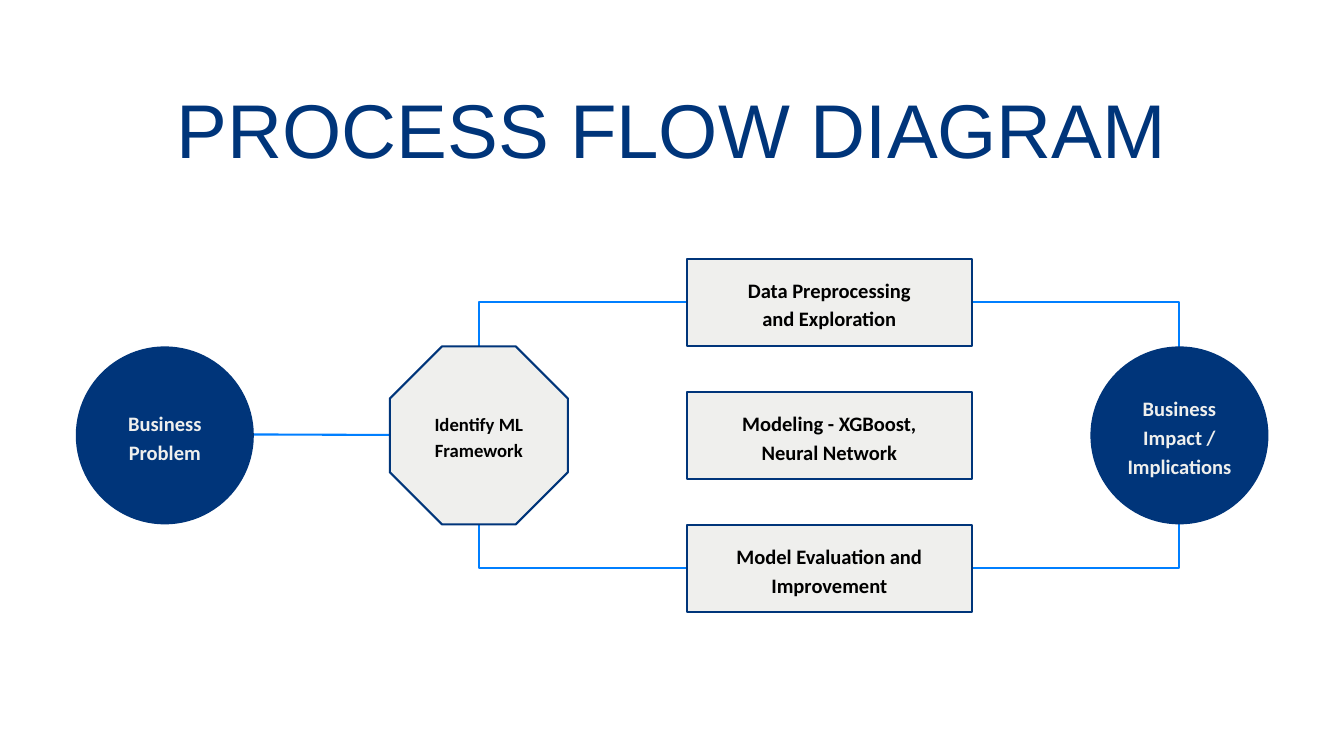
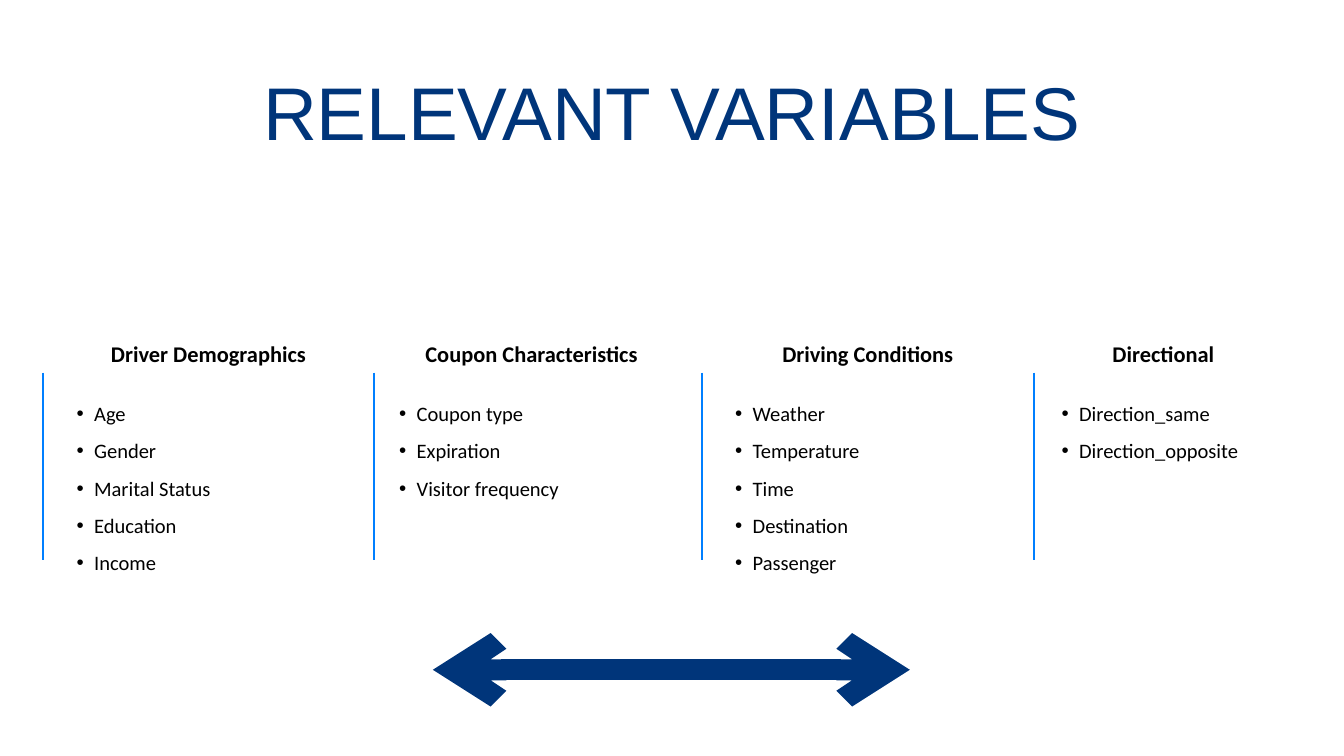
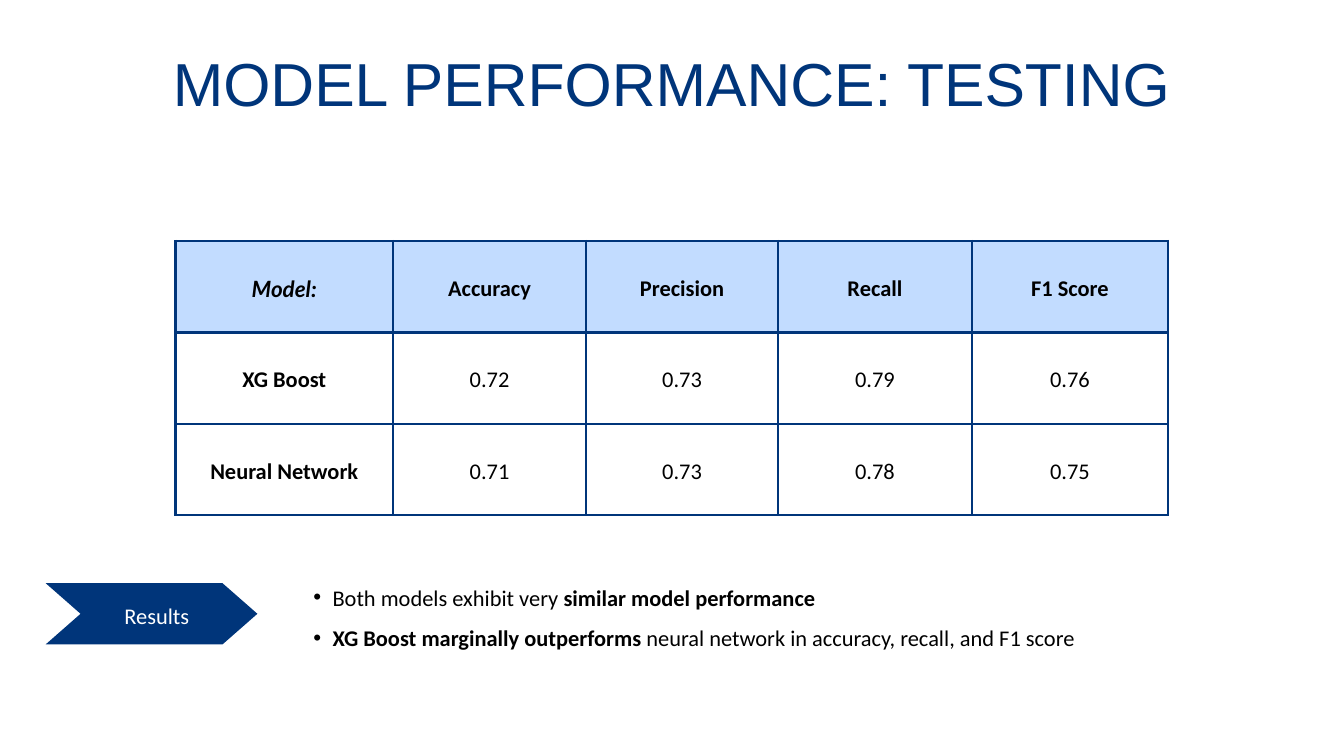
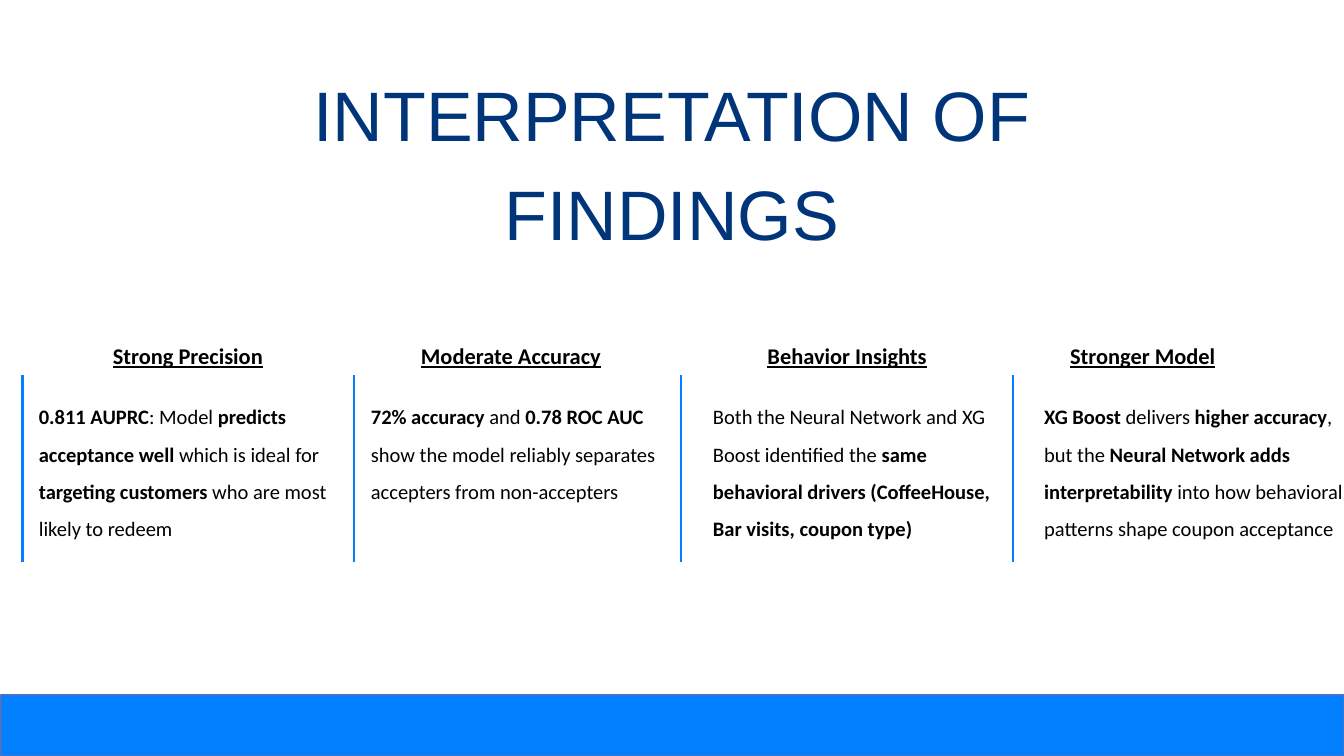
from dataclasses import dataclass

from lxml.etree import SubElement
from pptx import Presentation
from pptx.dml.color import RGBColor
from pptx.enum.shapes import MSO_CONNECTOR, MSO_SHAPE
from pptx.enum.text import MSO_ANCHOR, MSO_AUTO_SIZE, PP_ALIGN
from pptx.oxml.ns import qn
from pptx.util import Cm, Pt

SLIDE_WIDTH, SLIDE_HEIGHT = 50.8, 28.58
TITLE_ONLY = 5


@dataclass(frozen=True)
class Theme:
    navy: str = "00357A"
    blue: str = "007FFF"
    pale_blue: str = "C2DCFF"
    grey: str = "EFEFED"
    bar_outline: str = "4472C4"
    black: str = "000000"
    white: str = "FFFFFF"
    title_font: str = "Arial"
    text_font: str = "Calibri"
    accent_font: str = "Lato"
    heading_size: float = 24
    body_size: float = 22
    small_size: float = 20
    line_width: float = 2.25
    border_width: float = 3
    title_leading: float = 1.41
    tight_leading: float = 1.4
    loose_leading: float = 1.82


@dataclass(frozen=True)
class Column:
    """Horizontal places of one ruled column, in centimetres."""
    rule: float
    heading: float
    heading_width: float


COLUMNS = (
    Column(1.63, 3.38, 9),
    Column(14.15, 14.78, 10.62),
    Column(26.52, 28.3, 9),
    Column(39.07, 39.47, 9),
)


def lengths(*values):
    return [Cm(value) for value in values]


def color(value):
    return RGBColor.from_string(value)


class Deck:
    def __init__(self, theme):
        self.theme = theme
        self.presentation = Presentation()
        self.presentation.slide_width = Cm(SLIDE_WIDTH)
        self.presentation.slide_height = Cm(SLIDE_HEIGHT)
        self.slide = None

    def fill_text(self, text_frame, text, size, leading, ink=None, font=None,
                  bold=False, underline=False, align=PP_ALIGN.CENTER):
        """Fill a frame; newlines part paragraphs and ** marks bold words."""
        text_frame.word_wrap = True
        text_frame.text = text
        for paragraph in text_frame.paragraphs:
            first, *others = paragraph.text.split("**")
            paragraph.text = first
            for run in paragraph.runs:
                run.font.bold = bold
            for index, piece in enumerate(others):
                if piece:
                    run = paragraph.add_run()
                    run.text = piece
                    run.font.bold = index % 2 == 0
            paragraph.alignment = align
            paragraph.line_spacing = Pt(round(size * leading, 1))
            for run in paragraph.runs:
                run.font.size = Pt(size)
                run.font.name = font or self.theme.text_font
                run.font.color.rgb = color(ink or self.theme.black)
                if underline:
                    run.font.underline = True

    def set_margins(self, text_frame, left=0, bottom=0):
        text_frame.margin_left, text_frame.margin_bottom = lengths(left, bottom)
        text_frame.margin_top = text_frame.margin_right = 0

    def add_slide(self, title, size, top, width, height):
        layout = self.presentation.slide_layouts[TITLE_ONLY]
        self.slide = self.presentation.slides.add_slide(layout)
        shape = self.slide.shapes.title
        shape.left, shape.top, shape.width, shape.height = lengths(
            (SLIDE_WIDTH - width) / 2, top, width, height)
        text_frame = shape.text_frame
        self.set_margins(text_frame)
        text_frame.vertical_anchor = MSO_ANCHOR.TOP
        text_frame.auto_size = MSO_AUTO_SIZE.SHAPE_TO_FIT_TEXT
        self.fill_text(text_frame, title, size, self.theme.title_leading,
                       self.theme.navy, self.theme.title_font)

    def add_text(self, text, left, top, width, height, size, **style):
        shape = self.slide.shapes.add_textbox(*lengths(left, top, width, height))
        self.set_margins(shape.text_frame)
        shape.text_frame.auto_size = MSO_AUTO_SIZE.SHAPE_TO_FIT_TEXT
        self.fill_text(shape.text_frame, text, size, self.theme.loose_leading,
                       **style)
        return shape

    def add_bullets(self, text, left, top, width, height, size, indent):
        shape = self.add_text(text, left, top, width, height, size,
                              align=PP_ALIGN.LEFT)
        for paragraph in shape.text_frame.paragraphs:
            paragraph.level = 1
            properties = paragraph._p.get_or_add_pPr()
            properties.set("marL", str(Cm(2 * indent)))
            properties.set("indent", str(Cm(-indent)))
            SubElement(properties, qn("a:buFont"), typeface="Arial")
            SubElement(properties, qn("a:buChar"), char="•")

    def add_shape(self, kind, left, top, width, height, fill=None,
                  outline=None, line_width=None):
        shape = self.slide.shapes.add_shape(kind, *lengths(left, top, width, height))
        shape.shadow.inherit = False
        if fill:
            shape.fill.solid()
            shape.fill.fore_color.rgb = color(fill)
        else:
            shape.fill.background()
        if outline:
            shape.line.color.rgb = color(outline)
            shape.line.width = Pt(line_width or self.theme.line_width)
        else:
            shape.line.fill.background()
        return shape

    def add_label(self, shape, text, size, leading=None, left=0, bottom=0, **style):
        self.set_margins(shape.text_frame, left, bottom)
        shape.text_frame.vertical_anchor = MSO_ANCHOR.MIDDLE
        self.fill_text(shape.text_frame, text, size,
                       leading or self.theme.tight_leading, **style)

    def add_line(self, start_x, start_y, end_x, end_y, ink=None, width=None,
                 arrows=False):
        connector = self.slide.shapes.add_connector(
            MSO_CONNECTOR.STRAIGHT, *lengths(start_x, start_y, end_x, end_y))
        connector.line.color.rgb = color(ink or self.theme.blue)
        connector.line.width = Pt(width or self.theme.line_width)
        if arrows:
            line = connector.line._get_or_add_ln()
            for end in ("a:headEnd", "a:tailEnd"):
                SubElement(line, qn(end), type="arrow")
        SubElement(connector._element.spPr, qn("a:effectLst"))

    def add_column_heads(self, headings, shift, top, underline=False):
        """Draw the heading and the rule of each column."""
        for column, heading in zip(COLUMNS, headings):
            self.add_text(heading, column.heading + shift, top,
                          column.heading_width, 1.4, self.theme.heading_size,
                          bold=True, underline=underline)
            rule = column.rule + shift
            self.add_line(rule, top + 1.75, rule, top + 8.84)

    def add_borders(self, cell):
        properties = cell._tc.get_or_add_tcPr()
        for side in ("a:lnL", "a:lnR", "a:lnT", "a:lnB"):
            line = SubElement(properties, qn(side),
                              w=str(Pt(self.theme.border_width)))
            fill = SubElement(line, qn("a:solidFill"))
            SubElement(fill, qn("a:srgbClr"), val=self.theme.navy)

    def add_table(self, rows, left, top, widths, row_height):
        table = self.slide.shapes.add_table(
            len(rows), len(widths),
            *lengths(left, top, sum(widths), row_height * len(rows))).table
        table.first_row = table.horz_banding = False
        for column, width in zip(table.columns, widths):
            column.width = Cm(width)
        for row_index, values in enumerate(rows):
            table.rows[row_index].height = Cm(row_height)
            for column_index, value in enumerate(values):
                cell = table.cell(row_index, column_index)
                self.add_borders(cell)
                if row_index == 0:
                    cell.fill.solid()
                    cell.fill.fore_color.rgb = color(self.theme.pale_blue)
                else:
                    cell.fill.background()
                cell.vertical_anchor = MSO_ANCHOR.MIDDLE
                cell.margin_left = cell.margin_right = Cm(0.53)
                cell.margin_top = cell.margin_bottom = Cm(0.53)
                self.fill_text(cell.text_frame, value, self.theme.heading_size,
                               self.theme.tight_leading,
                               bold=row_index == 0 or column_index == 0)
        return table


def build_process_flow(deck):
    theme = deck.theme
    deck.add_slide("PROCESS FLOW DIAGRAM", 81.6, 2.49, SLIDE_WIDTH, 3.91)
    diameter, middle = 6.73, 16.46
    problem_x, framework_x, impact_x = 6.23, 18.1, 44.58
    step_left, step_width, step_height, step_pitch = 25.96, 10.77, 3.3, 5.03

    def add_node(kind, center_x, text, size, ink, fill, outline=None):
        shape = deck.add_shape(kind, center_x - diameter / 2,
                               middle - diameter / 2, diameter, diameter,
                               fill, outline)
        deck.add_label(shape, text, size, ink=ink, bold=True)

    deck.add_line(5.72, 16.41, 19.35, middle)
    deck.add_shape(MSO_SHAPE.RECTANGLE, framework_x, middle - step_pitch,
                   impact_x - framework_x, 2 * step_pitch, outline=theme.blue)
    add_node(MSO_SHAPE.OVAL, problem_x, "Business\nProblem",
             theme.body_size, theme.grey, theme.navy)
    add_node(MSO_SHAPE.OVAL, impact_x, "Business Impact / Implications",
             theme.body_size, theme.grey, theme.navy)
    add_node(MSO_SHAPE.OCTAGON, framework_x, "Identify ML\nFramework",
             theme.small_size, theme.black, theme.grey, theme.navy)

    steps = ("Data Preprocessing\nand Exploration",
             "Modeling - XGBoost,\nNeural Network",
             "Model Evaluation and\nImprovement")
    for index, step in enumerate(steps):
        top = middle + (index - 1) * step_pitch - step_height / 2
        shape = deck.add_shape(MSO_SHAPE.RECTANGLE, step_left, top, step_width,
                               step_height, theme.grey, theme.navy)
        deck.add_label(shape, step, theme.body_size, bold=True)


def build_variables(deck):
    theme = deck.theme
    deck.add_slide("RELEVANT VARIABLES", 80, 1.91, 34.49, 7.82)
    groups = (
        ("Driver Demographics", 2.24,
         ("Age", "Gender", "Marital Status", "Education", "Income")),
        ("Coupon Characteristics", 14.43,
         ("Coupon type", "Expiration", "Visitor frequency")),
        ("Driving Conditions", 27.13,
         ("Weather", "Temperature", "Time", "Destination", "Passenger")),
        ("Directional", 39.47, ("Direction_same", "Direction_opposite")),
    )
    deck.add_column_heads([group[0] for group in groups], 0, 12.34)
    for _, left, variables in groups:
        deck.add_bullets("\n".join(variables), left, 14.68, 11.3,
                         1.39 * (len(variables) + 1), theme.body_size, 0.66)
    deck.add_line(16.36, 25.32, 34.39, 25.32, theme.navy, 22.5, arrows=True)


def build_performance(deck):
    theme = deck.theme
    deck.add_slide("MODEL PERFORMANCE: TESTING", 65, 1.27, 39.32, 6.38)
    table = deck.add_table(
        (("Model:", "Accuracy", "Precision", "Recall", "F1 Score"),
         ("XG Boost", "0.72", "0.73", "0.79", "0.76"),
         ("Neural Network", "0.71", "0.73", "0.78", "0.75")),
        6.63, 9.12, (8.23, 7.29, 7.26, 7.32, 7.42), 3.45)
    corner_font = table.cell(0, 0).text_frame.paragraphs[0].runs[0].font
    corner_font.name = theme.accent_font
    corner_font.italic = True

    deck.add_bullets(
        "Both models exhibit very **similar model performance**\n"
        "**XG Boost marginally outperforms** neural network in accuracy, "
        "recall, and F1 score",
        11.13, 21.54, 37.26, 2.95, theme.heading_size, 0.72)
    results = deck.add_shape(MSO_SHAPE.CHEVRON, 1.73, 22.05, 8, 2.31, theme.navy)
    results.adjustments[0] = 0.57
    deck.add_label(results, "Results", theme.heading_size, theme.loose_leading,
                   left=0.4, bottom=0.4, ink=theme.white)


def build_findings(deck):
    theme = deck.theme
    deck.add_slide("INTERPRETATION OF FINDINGS", 75, 2.16, 34.49, 7.37)
    findings = (
        ("Strong Precision", 1.47, 6.93,
         "**0.811 AUPRC**: Model **predicts acceptance well **which is ideal "
         "for **targeting customers** who are most likely to redeem"),
        ("Moderate Accuracy", 14.02, 5.54,
         "**72% accuracy** and **0.78 ROC AUC** show the model reliably "
         "separates accepters from non-accepters"),
        ("Behavior Insights", 26.95, 7.01,
         "Both the Neural Network and XG Boost identified the **same "
         "behavioral drivers (CoffeeHouse, Bar visits, coupon type)**"),
        ("Stronger Model", 39.47, 8.33,
         "**XG Boost** delivers **higher accuracy**, but the **Neural Network "
         "adds interpretability** into how behavioral patterns shape coupon "
         "acceptance"),
    )
    deck.add_column_heads([finding[0] for finding in findings], -0.78, 12.42,
                          underline=True)
    for _, left, height, text in findings:
        deck.add_text(text, left, 14.8, 11.3, height, theme.body_size,
                      align=PP_ALIGN.LEFT)
    deck.add_shape(MSO_SHAPE.RECTANGLE, 0.03, 26.29, 50.77, 2.29, theme.blue,
                   theme.bar_outline, 2)


def main():
    deck = Deck(Theme())
    build_process_flow(deck)
    build_variables(deck)
    build_performance(deck)
    build_findings(deck)
    deck.presentation.save("out.pptx")


if __name__ == "__main__":
    main()
